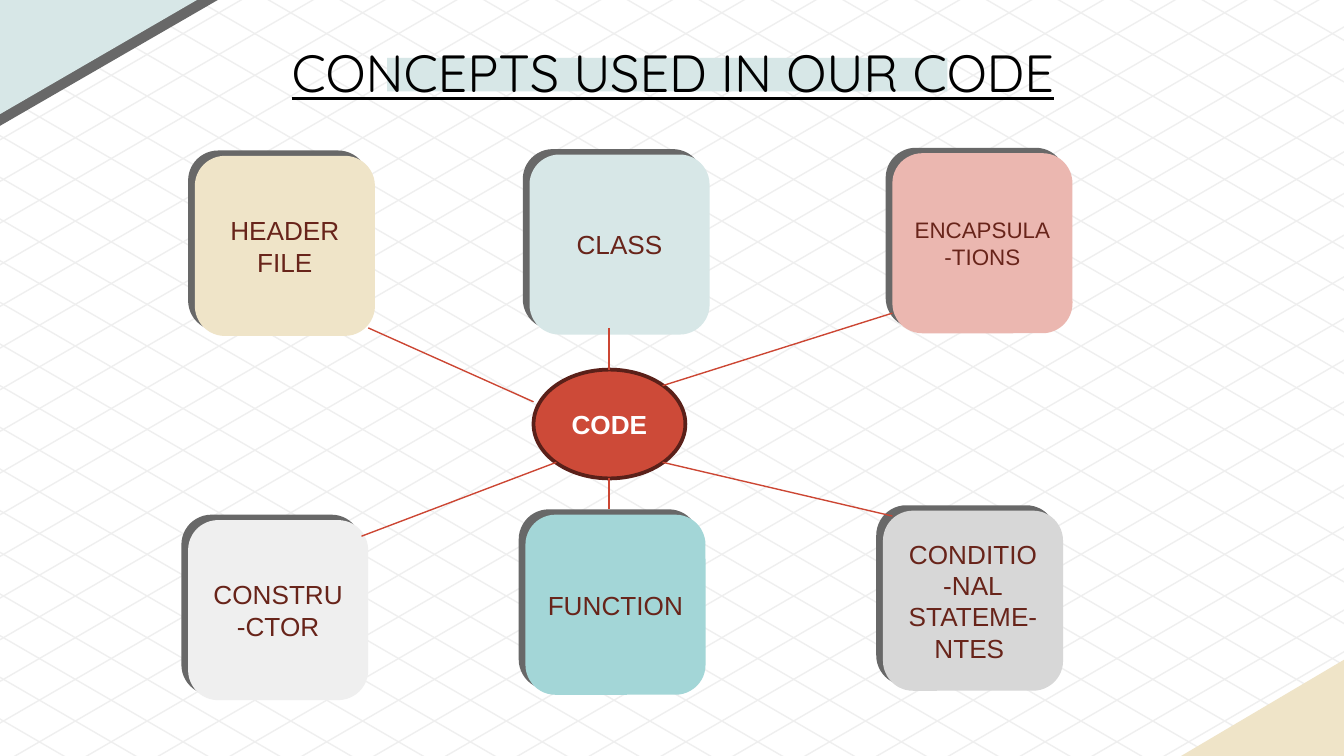
"""Build a slide that maps the programming concepts used around a piece of code."""
from lxml.etree import SubElement
from pptx import Presentation
from pptx.dml.color import RGBColor
from pptx.enum.shapes import MSO_CONNECTOR, MSO_SHAPE
from pptx.enum.text import MSO_ANCHOR, MSO_AUTO_SIZE, PP_ALIGN
from pptx.oxml.ns import qn
from pptx.util import Inches, Pt

WHITE = RGBColor(0xFF, 0xFF, 0xFF)
BLACK = RGBColor(0x00, 0x00, 0x00)
MIST = RGBColor(0xD7, 0xE7, 0xE7)
CREAM = RGBColor(0xEF, 0xE4, 0xC8)
PINK = RGBColor(0xEB, 0xB7, 0xB0)
AQUA = RGBColor(0xA3, 0xD6, 0xD7)
PALE_GRAY = RGBColor(0xEF, 0xEF, 0xEF)
LIGHT_GRAY = RGBColor(0xD7, 0xD7, 0xD7)
DARK_GRAY = RGBColor(0x68, 0x68, 0x68)
RED = RGBColor(0xCD, 0x4A, 0x38)
LINK_RED = RGBColor(0xCC, 0x46, 0x33)
MAROON = RGBColor(0x5A, 0x20, 0x19)
TEXT_BROWN = RGBColor(0x68, 0x24, 0x1A)

SLIDE_WIDTH = 10
SLIDE_HEIGHT = SLIDE_WIDTH * 9 / 16
TILE_SIZE = 1.34
TILE_FORMAT = {"name": "Arial", "size": Pt(14)}
TITLE_FORMAT = {"name": "Quicksand", "size": Pt(28), "underline": True, "bold": False}
FRAME_FORMAT = {
    "word_wrap": True,
    "auto_size": MSO_AUTO_SIZE.NONE,
    "vertical_anchor": MSO_ANCHOR.MIDDLE,
    **{f"margin_{side}": Inches(0.1) for side in ("left", "top", "right", "bottom")},
}

TILES = [
    (1.40, 3.87, PALE_GRAY, ["CONSTRU-CTOR"], {}),
    (3.91, 3.83, AQUA, ["FUNCTION"], {}),
    (3.94, 1.15, MIST, ["CLASS"], {}),
    (1.45, 1.16, CREAM, ["HEADER FILE"], {}),
    (6.64, 1.14, PINK, ["ENCAPSULA-TIONS"], {"size": Pt(12)}),
    (6.57, 3.80, LIGHT_GRAY, ["CONDITIO-NAL", "STATEME-NTES "], {}),
]
LINKS = [
    ((2.74, 2.44), (3.97, 2.99)),
    ((4.53, 2.44), (4.53, 2.75)),
    ((4.93, 2.87), (6.64, 2.33)),
    ((4.14, 3.44), (2.69, 3.99)),
    ((4.53, 3.56), (4.53, 3.79)),
    ((4.93, 3.44), (6.64, 3.84)),
]
CORNERS = [
    (DARK_GRAY, [(-2.5, -2.89), (1.7, -0.46), (1.84, -0.34), (1.84, -0.25),
                 (1.69, -0.04), (-0.11, 1), (-2.5, 1)]),
    (MIST, [(-2.5, -2.98), (1.7, -0.55), (1.89, -0.34), (1.69, -0.13),
            (-0.26, 1), (-2.5, 1)]),
    (CREAM, [(11.81, 3.84), (8.12, 6.02), (7.94, 6.21), (8.12, 6.39),
             (9.84, 7.41), (11.81, 7.41)]),
]


def set_attributes(target, values):
    """Set every named attribute of the target."""
    for name, value in values.items():
        setattr(target, name, value)


def paint(shape, color):
    """Give a shape a flat fill without outline or shadow."""
    shape.shadow.inherit = False
    shape.fill.solid()
    shape.fill.fore_color.rgb = color
    shape.line.fill.background()


def add_block(slide, kind, left, top, width, height, color):
    """Add a flat preset shape."""
    shape = slide.shapes.add_shape(
        kind, Inches(left), Inches(top), Inches(width), Inches(height))
    paint(shape, color)
    return shape


def write_text(shape, lines, color, font_format):
    """Write centred paragraphs into a shape."""
    frame = shape.text_frame
    set_attributes(frame, FRAME_FORMAT)
    frame.text = "\n".join(lines)
    for paragraph in frame.paragraphs:
        paragraph.alignment = PP_ALIGN.CENTER
        font = paragraph.runs[0].font
        set_attributes(font, font_format)
        font.color.rgb = color


def add_line(slide, start, end, color):
    """Add a thin straight line without shadow."""
    connector = slide.shapes.add_connector(
        MSO_CONNECTOR.STRAIGHT, *(Inches(value) for value in (*start, *end)))
    connector.line.color.rgb = color
    connector.line.width = Pt(0.75)
    SubElement(connector.element.find(qn("p:spPr")), qn("a:effectLst"))


def add_lattice(slide):
    """Cover the background with two mirrored families of parallel lines."""
    slope, first, step, count = 0.58, 0.3, 0.31, 37
    left, top, right, bottom = -0.38, -0.12, 10.1, 5.87
    lines = []
    for index in range(count):
        intercept = first + step * index - slope * SLIDE_WIDTH
        ends = (min(right, (bottom - intercept) / slope),
                max(left, (top - intercept) / slope))
        lines.append([(x, intercept + slope * x) for x in ends])
    mirrored = [[(x + 0.25, SLIDE_HEIGHT - y) for x, y in line] for line in lines]
    for start, end in lines + mirrored:
        add_line(slide, start, end, PALE_GRAY)


def add_title(slide, text):
    """Place the title over its highlight bar."""
    add_block(slide, MSO_SHAPE.RECTANGLE, 2.88, 0.43, 4.17, 0.25, MIST)
    title = slide.shapes.title
    title.element.getparent().append(title.element)
    set_attributes(title, {"left": Inches(0.79), "top": Inches(0.22),
                           "width": Inches(8.43), "height": Inches(0.63)})
    write_text(title, [text], BLACK, TITLE_FORMAT)


def add_tile(slide, left, top, color, lines, font_format):
    """Add a rounded concept tile with a dark offset tile behind it."""
    for x, y, fill in ((left - 0.05, top - 0.04, DARK_GRAY), (left, top, color)):
        tile = add_block(slide, MSO_SHAPE.ROUNDED_RECTANGLE, x, y,
                         TILE_SIZE, TILE_SIZE, fill)
    write_text(tile, lines, TEXT_BROWN, {**TILE_FORMAT, **font_format})


def add_corner(slide, color, points):
    """Add a corner wedge that bleeds over the slide edge."""
    start, *others = [(Inches(x), Inches(y)) for x, y in points]
    builder = slide.shapes.build_freeform(*start)
    builder.add_line_segments(others, close=True)
    paint(builder.convert_to_shape(), color)


def add_hub(slide, text):
    """Add the central ellipse."""
    hub = add_block(slide, MSO_SHAPE.OVAL, 3.97, 2.75, 1.13, 0.81, RED)
    hub.line.color.rgb = MAROON
    hub.line.width = Pt(2)
    write_text(hub, [text], WHITE, {**TILE_FORMAT, "bold": True})


def main():
    """Build and save the slide."""
    presentation = Presentation()
    presentation.slide_width = Inches(SLIDE_WIDTH)
    presentation.slide_height = Inches(SLIDE_HEIGHT)
    slide = presentation.slides.add_slide(presentation.slide_layouts[5])
    add_lattice(slide)
    add_title(slide, "CONCEPTS USED IN OUR CODE")
    for color, points in CORNERS:
        add_corner(slide, color, points)
    for tile in TILES:
        add_tile(slide, *tile)
    add_hub(slide, "CODE")
    for start, end in LINKS:
        add_line(slide, start, end, LINK_RED)
    presentation.save("out.pptx")


if __name__ == "__main__":
    main()
